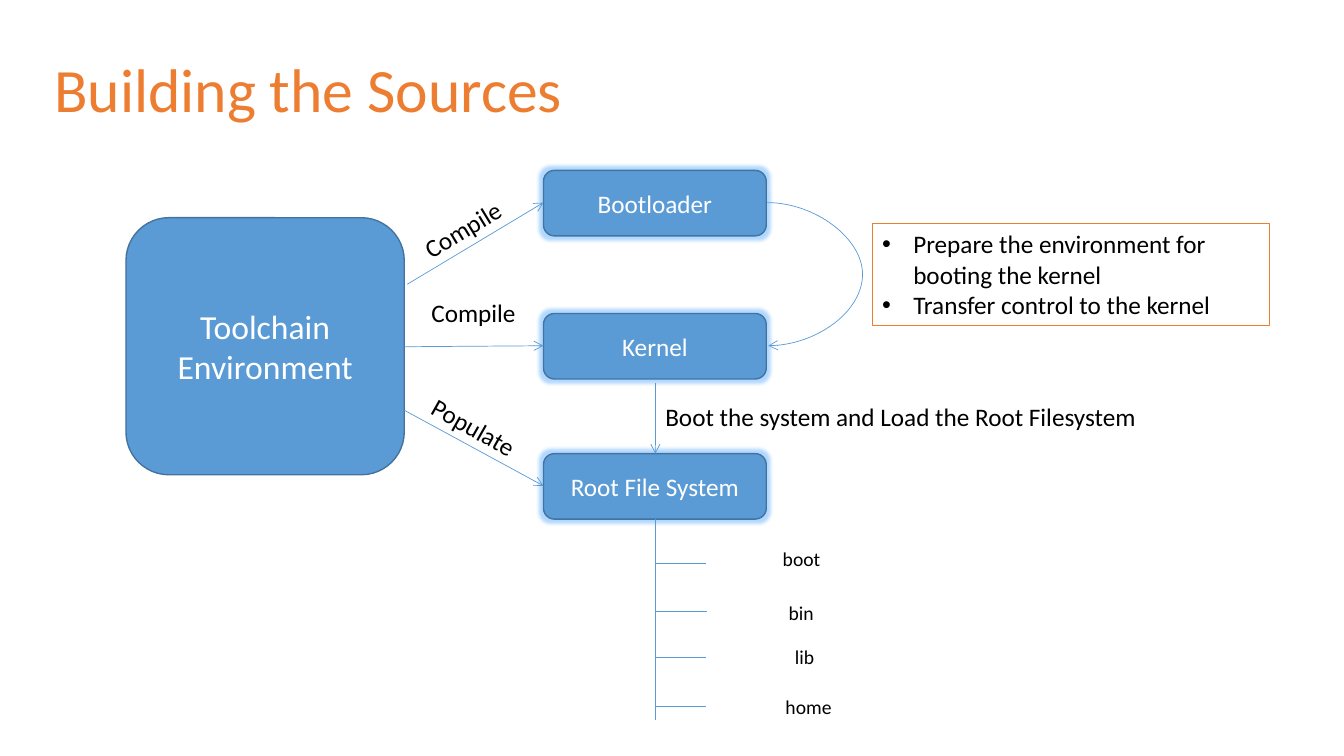
from dataclasses import dataclass

from lxml import etree
from pptx import Presentation
from pptx import util as u
from pptx.dml.color import RGBColor
from pptx.enum import shapes, text
from pptx.oxml import parse_xml
from pptx.oxml.ns import nsdecls, qn

PX = u.Inches(1) // 100


@dataclass(frozen=True)
class Theme:
    font: str = "Calibri"
    accent: RGBColor = RGBColor.from_string("ED7D31")
    block: RGBColor = RGBColor.from_string("5B9BD5")
    outline: RGBColor = RGBColor.from_string("43739E")
    light: RGBColor = RGBColor.from_string("FFFFFF")
    dark: RGBColor = RGBColor.from_string("000000")
    glow: str = "3D9EFF"
    title: int = 44
    large: int = 24
    body: int = 18
    small: int = 14


theme = Theme()
presentation = Presentation()
presentation.slide_width, presentation.slide_height = 1333 * PX, 750 * PX
slide = presentation.slides.add_slide(presentation.slide_layouts[6])


def write(shape, content, size, color, align, wrap=True):
    frame = shape.text_frame
    frame.text = content
    frame.word_wrap = wrap
    for paragraph in frame.paragraphs:
        paragraph.alignment = align
        for run in paragraph.runs:
            run.font.name = theme.font
            run.font.size = u.Pt(size)
            run.font.color.rgb = color
    return frame


def connect(start_x, start_y, end_x, end_y, arrow=True, kind=shapes.MSO_CONNECTOR.STRAIGHT):
    connector = slide.shapes.add_connector(
        kind, start_x * PX, start_y * PX, end_x * PX, end_y * PX)
    connector.line.color.rgb = theme.block
    connector.line.width = u.Pt(0.5)
    if arrow:
        etree.SubElement(connector.line._get_or_add_ln(), qn("a:tailEnd"), type="arrow")
    etree.SubElement(connector._element.spPr, qn("a:effectLst"))
    return connector


LEFT, CENTER = text.PP_ALIGN.LEFT, text.PP_ALIGN.CENTER

title = slide.shapes.add_textbox(44 * PX, 19 * PX, 1246 * PX, 145 * PX)
frame = write(title, "Building the Sources", theme.title, theme.accent, LEFT)
frame.vertical_anchor = text.MSO_ANCHOR.MIDDLE
frame.paragraphs[0].line_spacing = 0.9

blocks = [
    ("Toolchain Environment", 125, 216, 276, 255, theme.large, False),
    ("Bootloader", 539, 169, 221, 65, theme.body, True),
    ("Kernel", 539, 311, 221, 65, theme.body, True),
    ("Root File System", 539, 450, 221, 65, theme.body, True),
]
for name, left, top, width, height, size, glowing in blocks:
    block = slide.shapes.add_shape(
        shapes.MSO_SHAPE.ROUNDED_RECTANGLE, left * PX, top * PX, width * PX, height * PX)
    block.shadow.inherit = False
    block.fill.solid()
    block.fill.fore_color.rgb = theme.block
    block.line.color.rgb = theme.outline
    block.line.width = u.Pt(1)
    if glowing:
        block._element.spPr.find(qn("a:effectLst")).append(parse_xml(
            f'<a:glow {nsdecls("a")} rad="{u.Pt(5)}"><a:srgbClr val="{theme.glow}">'
            '<a:alpha val="40000"/></a:srgbClr></a:glow>'))
    frame = write(block, name, size, theme.light, CENTER)
    frame.vertical_anchor = text.MSO_ANCHOR.MIDDLE

for arrow_ends in [(404, 282, 539, 201), (401, 344, 539, 343),
                   (401, 407, 539, 482), (650, 380, 650, 450)]:
    connect(*arrow_ends)

handover = connect(761, 201, 762, 343, kind=shapes.MSO_CONNECTOR.CURVE)
guides = handover._element.spPr.find(qn("a:prstGeom")).find(qn("a:avLst"))
etree.SubElement(guides, qn("a:gd"), name="adj1", fmla="val 9600000")

duties = slide.shapes.add_shape(
    shapes.MSO_SHAPE.RECTANGLE, 865 * PX, 222 * PX, 394 * PX, 101 * PX)
duties.shadow.inherit = False
duties.fill.background()
duties.line.color.rgb = theme.accent
duties.line.width = u.Pt(0.75)
frame = write(duties, "Prepare the environment for booting the kernel\n"
              "Transfer control to the kernel", theme.body, theme.dark, LEFT)
frame.vertical_anchor = text.MSO_ANCHOR.TOP
for paragraph in frame.paragraphs:
    properties = paragraph._p.get_or_add_pPr()
    properties.set("marL", str(31 * PX))
    properties.set("indent", str(-31 * PX))
    etree.SubElement(properties, qn("a:buFont"), typeface="Arial")
    etree.SubElement(properties, qn("a:buChar"), char="•")

connect(650, 515, 650, 714, arrow=False)
for left, top in [(650, 559), (651, 607), (650, 652), (650, 701)]:
    connect(left, top, left + 50, top, arrow=False)

labels = [
    ("Compile", 407, 207, 105, 40, theme.body, LEFT, 328.7),
    ("Compile", 418, 290, 105, 40, theme.body, LEFT, 0),
    ("Populate", 415, 404, 111, 40, theme.body, LEFT, 29.6),
    ("Boot the system and Load the Root Filesystem",
     650, 393, 492, 40, theme.body, LEFT, 0),
    ("boot", 766, 538, 58, 34, theme.small, CENTER, 0),
    ("bin", 772, 591, 45, 34, theme.small, CENTER, 0),
    ("lib", 778, 635, 40, 34, theme.small, CENTER, 0),
    ("home", 769, 684, 66, 34, theme.small, CENTER, 0),
]
for content, left, top, width, height, size, align, rotation in labels:
    label = slide.shapes.add_textbox(left * PX, top * PX, width * PX, height * PX)
    label.rotation = rotation
    frame = write(label, content, size, theme.dark, align, wrap=False)
    frame.auto_size = text.MSO_AUTO_SIZE.SHAPE_TO_FIT_TEXT

presentation.save("out.pptx")
